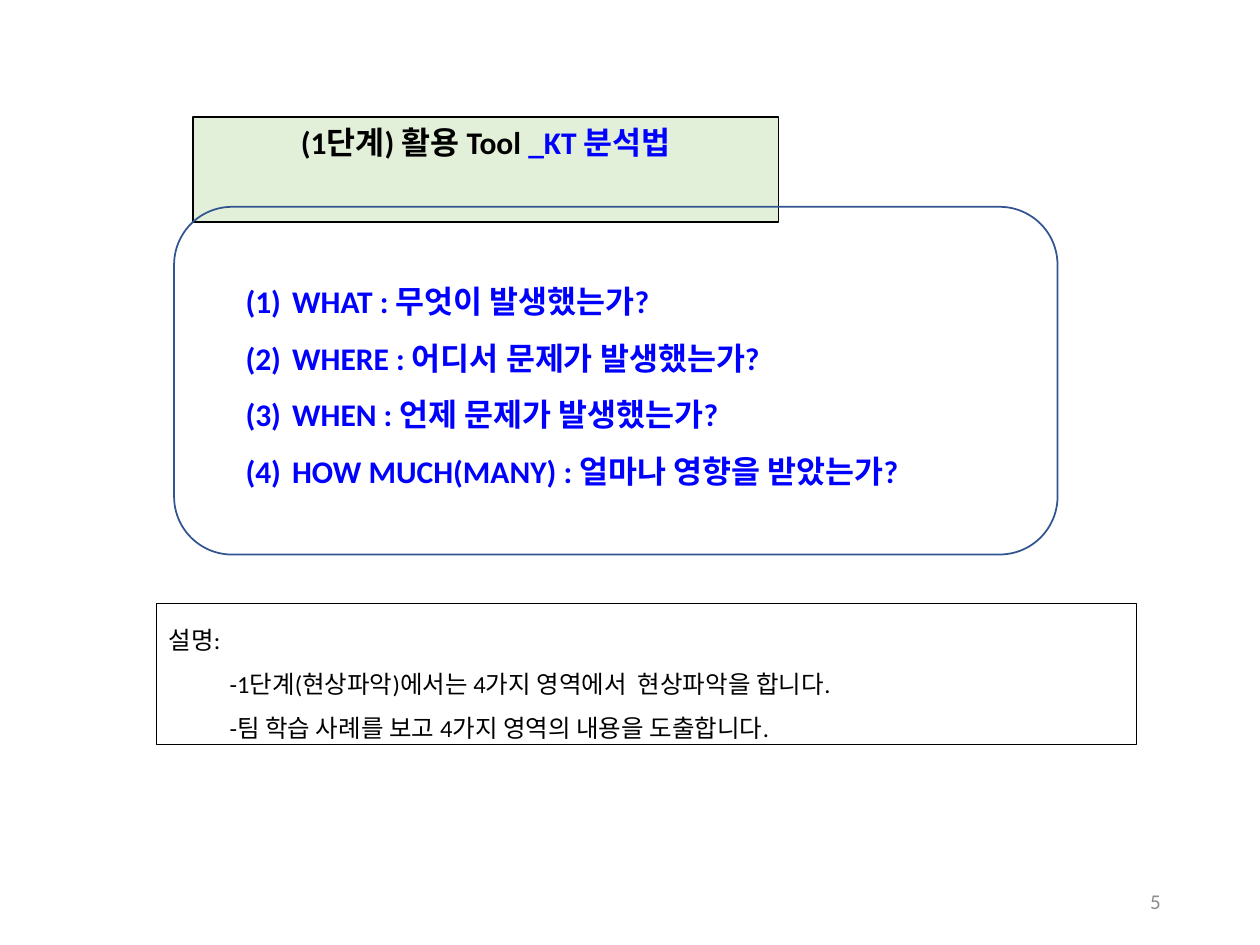
"""Builds the slide on the KT analysis method, step 1."""
from lxml import etree
from pptx import Presentation
from pptx.dml.color import RGBColor
from pptx.enum.shapes import MSO_SHAPE
from pptx.enum.text import MSO_ANCHOR, MSO_AUTO_SIZE, PP_ALIGN
from pptx.oxml.ns import qn
from pptx.util import Cm, Pt

RECT, ROUNDED = MSO_SHAPE.RECTANGLE, MSO_SHAPE.ROUNDED_RECTANGLE
LEFT, CENTER, RIGHT = PP_ALIGN.LEFT, PP_ALIGN.CENTER, PP_ALIGN.RIGHT
TOP, MIDDLE = MSO_ANCHOR.TOP, MSO_ANCHOR.MIDDLE
GROW = MSO_AUTO_SIZE.SHAPE_TO_FIT_TEXT
BLACK, BLUE, GREY = "000000", "0000FF", "8C8C8C"
GREEN, NAVY = "E2F0D9", "325491"
TITLE_ONLY = 5


def rgb(value):
    """Turn a hex string into a colour."""
    return RGBColor.from_string(value)


def add_run(p, text, size=18, color=BLACK, bold=False, font="Calibri"):
    """Add formatted text to a paragraph."""
    r = p.add_run()
    r.text = text
    r.font.name, r.font.size, r.font.bold = font, Pt(size), bold
    r.font.color.rgb = rgb(color)


def set_indent(p, left, first=0, numbering=None):
    """Indent a paragraph and number it on request."""
    pPr = p._p.get_or_add_pPr()
    pPr.set("marL", str(Cm(left)))
    pPr.set("indent", str(Cm(first)))
    if numbering:
        etree.SubElement(pPr, qn("a:buAutoNum")).set("type", numbering)


class SlideBuilder:
    """Holds the style and the current slide."""

    def __init__(self, prs):
        """Add a title-only slide."""
        self.s = prs.slides.add_slide(prs.slide_layouts[TITLE_ONLY])

    def outline(self, sp, line, width, fill=None):
        """Set the fill and line of a shape."""
        if fill:
            sp.fill.solid()
            sp.fill.fore_color.rgb = rgb(fill)
        else:
            sp.fill.background()
        sp.line.color.rgb = rgb(line)
        sp.line.width = Pt(width)

    def frame(self, sp, anchor=TOP, auto_size=GROW):
        """Prepare the text frame of a shape."""
        tf = sp.text_frame
        tf.word_wrap, tf.vertical_anchor, tf.auto_size = True, anchor, auto_size
        return tf

    def title(self, parts, x, y, w, h):
        """Place the title with its coloured parts."""
        sp = self.s.shapes.title
        sp.left, sp.top, sp.width, sp.height = Cm(x), Cm(y), Cm(w), Cm(h)
        self.outline(sp, BLACK, 0.75, GREEN)
        p = self.frame(sp).paragraphs[0]
        p.alignment = CENTER
        for text, color in parts:
            add_run(p, text, color=color, bold=True)

    def box(self, kind, x, y, w, h, line, width):
        """Add an outlined shape."""
        sp = self.s.shapes.add_shape(kind, Cm(x), Cm(y), Cm(w), Cm(h))
        sp.shadow.inherit = False
        self.outline(sp, line, width)
        return sp

    def lines(self, tf, items, **style):
        """Fill a frame with widely spaced lines, yielding each paragraph."""
        for i, text in enumerate(items):
            p = tf.add_paragraph() if i else tf.paragraphs[0]
            p.alignment, p.line_spacing = LEFT, 1.5
            add_run(p, text, **style)
        return tf.paragraphs

    def questions(self, items, x, y, w, h):
        """Add the numbered questions."""
        sp = self.s.shapes.add_textbox(Cm(x), Cm(y), Cm(w), Cm(h))
        for p in self.lines(self.frame(sp), items, color=BLUE, bold=True):
            set_indent(p, 0.94, -0.94, "arabicParenBoth")

    def note(self, items, x, y, w, h):
        """Add the framed note with a heading and indented lines."""
        sp = self.box(RECT, x, y, w, h, BLACK, 0.75)
        for p in self.lines(self.frame(sp), items, size=14)[1:]:
            set_indent(p, 1.23)

    def number(self, text, x, y, w, h):
        """Add the page number."""
        sp = self.s.shapes.add_textbox(Cm(x), Cm(y), Cm(w), Cm(h))
        p = self.frame(sp, MIDDLE, MSO_AUTO_SIZE.NONE).paragraphs[0]
        p.alignment = RIGHT
        add_run(p, text, size=12, color=GREY)


def main():
    """Build and save the presentation."""
    prs = Presentation()
    prs.slide_width, prs.slide_height = Cm(25.4), Cm(19.05)
    b = SlideBuilder(prs)
    b.title([("(1단계) 활용 Tool ", BLACK), ("_KT 분석법", BLUE)], 3.89, 2.36, 11.81, 1.02)
    b.box(ROUNDED, 3.51, 4.17, 17.81, 7.01, NAVY, 1)
    b.questions([
        "WHAT : 무엇이 발생했는가?",
        "WHERE : 어디서 문제가 발생했는가?",
        "WHEN : 언제 문제가 발생했는가?",
        "HOW MUCH(MANY) : 얼마나 영향을 받았는가?",
    ], 4.7, 5.18, 17.81, 4.72)
    b.number("5", 17.93, 17.65, 5.72, 1.02)
    b.note([
        "설명:",
        "-1단계(현상파악)에서는 4가지 영역에서  현상파악을 합니다.",
        "-팀 학습 사례를 보고 4가지 영역의 내용을 도출합니다.",
    ], 3.15, 12.17, 19.76, 2.84)
    prs.save("out.pptx")


if __name__ == "__main__":
    main()
